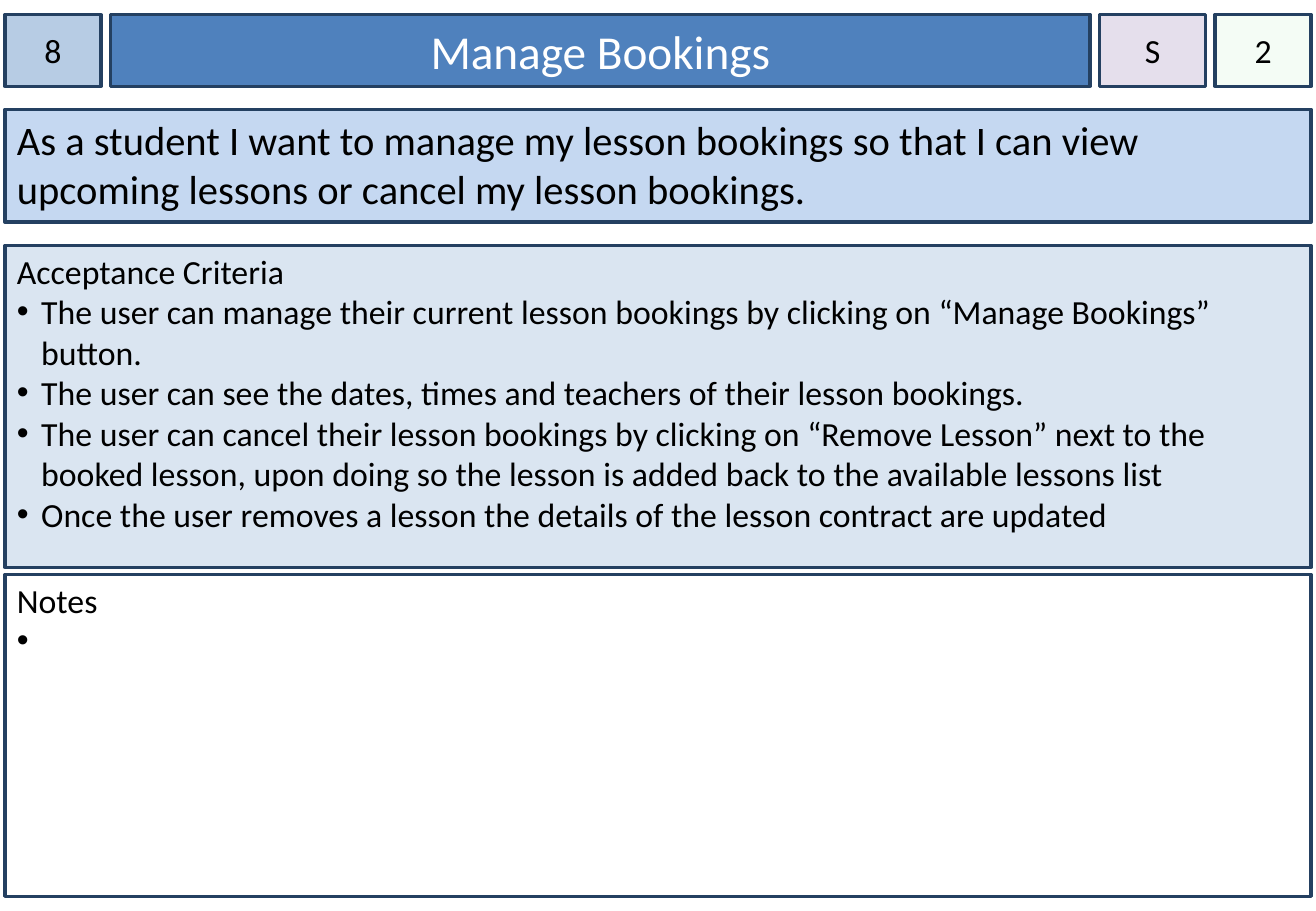
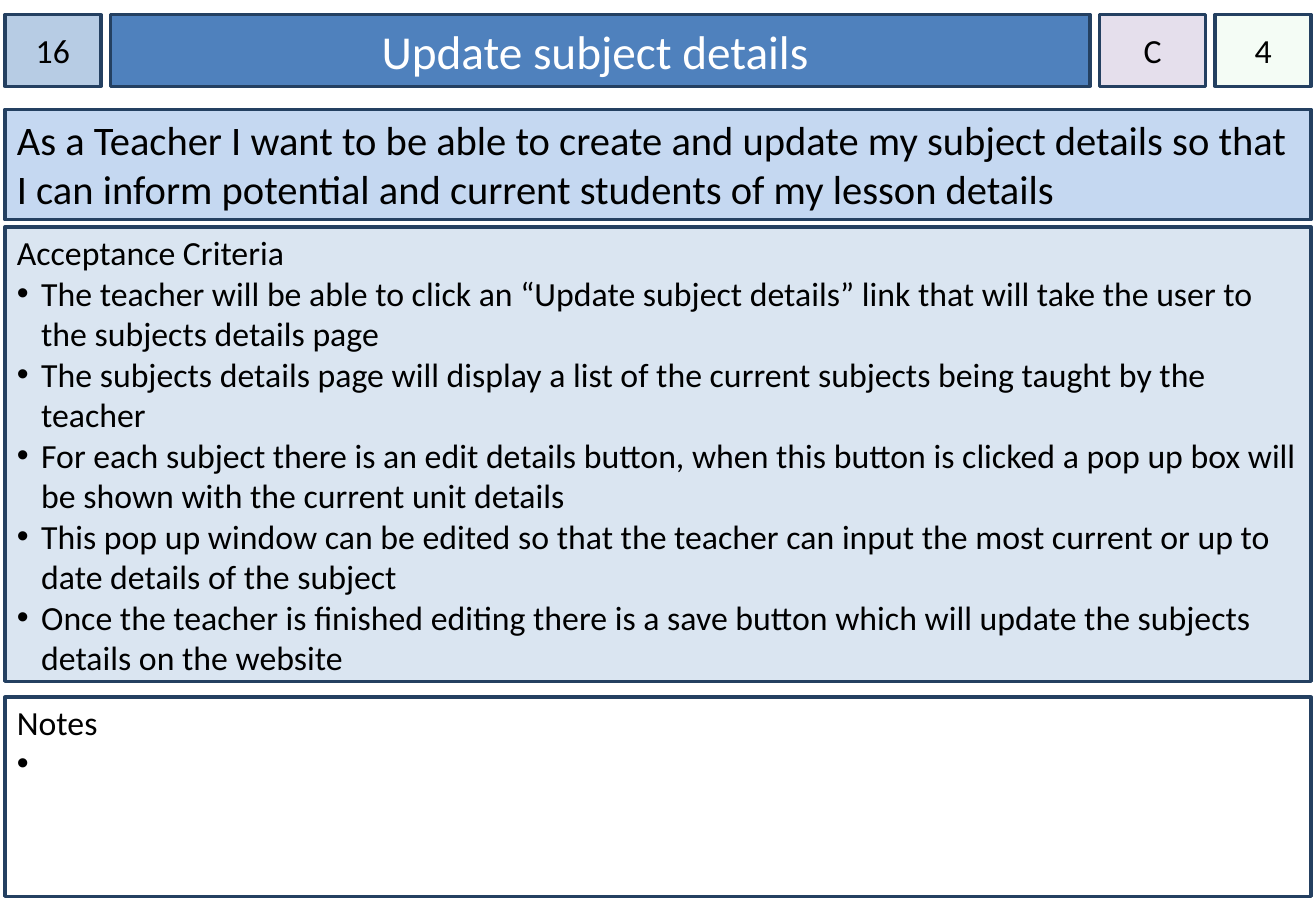
from dataclasses import dataclass

from lxml.etree import SubElement
from pptx import Presentation
from pptx.dml.color import RGBColor
from pptx.enum.shapes import MSO_SHAPE
from pptx.enum.text import MSO_ANCHOR, MSO_AUTO_SIZE, PP_ALIGN
from pptx.oxml.ns import qn
from pptx.util import Inches, Pt


@dataclass(frozen=True)
class Theme:
    font: str = "Calibri"
    title_size: int = 28
    story_size: int = 24
    body_size: int = 20
    text: str = "000000"
    title_text: str = "FFFFFF"
    border: str = "244061"
    border_width: int = 2
    number_fill: str = "B7CCE4"
    title_fill: str = "4F81BD"
    priority_fill: str = "E5DFEC"
    points_fill: str = "CCF0CD"
    points_opacity: int = 20
    story_fill: str = "C5D8F1"
    criteria_fill: str = "DAE5F1"
    remarks_fill: str = "FFFFFF"


@dataclass(frozen=True)
class StoryCard:
    number: str
    title: str
    priority: str
    points: str
    story: str
    criteria: tuple
    story_height: float
    criteria_top: float
    criteria_height: float
    remarks_top: float


THEME = Theme()
SLIDE_WIDTH, SLIDE_HEIGHT = 10.83, 7.5
MARGIN = 0.04
CONTENT_WIDTH = SLIDE_WIDTH - 2 * MARGIN
HEADER_TOP, HEADER_HEIGHT, HEADER_GAP = 0.12, 0.59, 0.08
BADGE_WIDTH, PRIORITY_WIDTH = 0.79, 0.87
TITLE_WIDTH = CONTENT_WIDTH - 2 * BADGE_WIDTH - PRIORITY_WIDTH - 3 * HEADER_GAP
STORY_TOP = 0.9
REMARKS_BOTTOM = SLIDE_HEIGHT - HEADER_TOP
BULLET_INDENT = 0.2

CARDS = (
    StoryCard(
        number="8", title="Manage Bookings", priority="S", points="2",
        story="As a student I want to manage my lesson bookings so that I can view "
              "upcoming lessons or cancel my lesson bookings.",
        criteria=(
            "The user can manage their current lesson bookings by clicking on "
            "“Manage Bookings” button.",
            "The user can see the dates, times and teachers of their lesson bookings.",
            "The user can cancel their lesson bookings by clicking on “Remove Lesson” next "
            "to the booked lesson, upon doing so the lesson is added back to the available "
            "lessons list",
            "Once the user removes a lesson the details of the lesson contract are updated",
        ),
        story_height=0.93, criteria_top=2.02, criteria_height=2.65, remarks_top=4.73,
    ),
    StoryCard(
        number="16", title="Update subject details ", priority="C", points="4",
        story="As a Teacher I want to be able to create and update my subject details so "
              "that I can inform potential and current students of my lesson details",
        criteria=(
            "The teacher will be able to click an “Update subject details” link that will "
            "take the user to the subjects details page",
            "The subjects details page will display a list of the current subjects being "
            "taught by the teacher",
            "For each subject there is an edit details button, when this button is clicked "
            "a pop up box will be shown with the current unit details",
            "This pop up window can be edited so that the teacher can input the most "
            "current or up to date details of the subject",
            "Once the teacher is finished editing there is a save button which will update "
            "the subjects details on the website",
        ),
        story_height=0.91, criteria_top=1.87, criteria_height=3.74, remarks_top=5.74,
    ),
)


def rgb(value):
    return RGBColor.from_string(value)


def write_text(paragraph, text, size=THEME.body_size, color=THEME.text,
               align=PP_ALIGN.LEFT, bullet=False):
    if bullet:
        properties = paragraph._p.get_or_add_pPr()
        properties.set("marL", str(Inches(BULLET_INDENT)))
        properties.set("indent", str(-Inches(BULLET_INDENT)))
        SubElement(properties, qn("a:buFont"), typeface="Arial")
        SubElement(properties, qn("a:buChar"), char="•")
    paragraph.alignment = align
    run = paragraph.add_run()
    run.text = text
    run.font.name = THEME.font
    run.font.size = Pt(size)
    run.font.color.rgb = rgb(color)


def format_box(shape, fill, side_inset=0.1, top_inset=0.05, anchor=MSO_ANCHOR.TOP):
    shape.fill.solid()
    shape.fill.fore_color.rgb = rgb(fill)
    shape.line.color.rgb = rgb(THEME.border)
    shape.line.width = Pt(THEME.border_width)
    frame = shape.text_frame
    frame.word_wrap = True
    frame.auto_size = MSO_AUTO_SIZE.NONE
    frame.vertical_anchor = anchor
    frame.margin_left = frame.margin_right = Inches(side_inset)
    frame.margin_top, frame.margin_bottom = Inches(top_inset), Inches(0.05)
    return frame


def add_box(slide, left, top, width, height):
    shape = slide.shapes.add_shape(
        MSO_SHAPE.RECTANGLE, Inches(left), Inches(top), Inches(width), Inches(height))
    shape.shadow.inherit = False
    return shape


def add_badge(slide, text, left, width, fill):
    shape = add_box(slide, left, HEADER_TOP, width, HEADER_HEIGHT)
    frame = format_box(shape, fill, side_inset=0, anchor=MSO_ANCHOR.MIDDLE)
    write_text(frame.paragraphs[0], text, align=PP_ALIGN.CENTER)
    return shape


def set_opacity(shape, percent):
    color = shape._element.spPr.find(qn("a:solidFill"))[0]
    SubElement(color, qn("a:alpha"), val=str(percent * 1000))


def place_title(slide, text, left):
    title = slide.shapes.title
    title.left, title.top = Inches(left), Inches(HEADER_TOP)
    title.width, title.height = Inches(TITLE_WIDTH), Inches(HEADER_HEIGHT)
    frame = format_box(title, THEME.title_fill, anchor=MSO_ANCHOR.MIDDLE)
    write_text(frame.paragraphs[0], text, size=THEME.title_size,
               color=THEME.title_text, align=PP_ALIGN.CENTER)


def add_header(slide, card):
    title_left = MARGIN + BADGE_WIDTH + HEADER_GAP
    priority_left = title_left + TITLE_WIDTH + HEADER_GAP
    points_left = priority_left + PRIORITY_WIDTH + HEADER_GAP
    add_badge(slide, card.number, MARGIN, BADGE_WIDTH, THEME.number_fill)
    place_title(slide, card.title, title_left)
    add_badge(slide, card.priority, priority_left, PRIORITY_WIDTH, THEME.priority_fill)
    points = add_badge(slide, card.points, points_left, BADGE_WIDTH, THEME.points_fill)
    set_opacity(points, THEME.points_opacity)


def add_story(slide, card):
    shape = add_box(slide, MARGIN, STORY_TOP, CONTENT_WIDTH, card.story_height)
    frame = format_box(shape, THEME.story_fill)
    write_text(frame.paragraphs[0], card.story, size=THEME.story_size)


def add_list_panel(slide, heading, items, top, height, fill):
    shape = add_box(slide, MARGIN, top, CONTENT_WIDTH, height)
    frame = format_box(shape, fill, top_inset=0.04)
    write_text(frame.paragraphs[0], heading)
    for item in items:
        write_text(frame.add_paragraph(), item, bullet=True)


def add_card(presentation, card):
    slide = presentation.slides.add_slide(presentation.slide_layouts.get_by_name("Title Only"))
    add_header(slide, card)
    add_story(slide, card)
    add_list_panel(slide, "Acceptance Criteria", card.criteria,
                   card.criteria_top, card.criteria_height, THEME.criteria_fill)
    add_list_panel(slide, "Notes", (" ",),
                   card.remarks_top, REMARKS_BOTTOM - card.remarks_top, THEME.remarks_fill)


def main():
    presentation = Presentation()
    presentation.slide_width = Inches(SLIDE_WIDTH)
    presentation.slide_height = Inches(SLIDE_HEIGHT)
    for card in CARDS:
        add_card(presentation, card)
    presentation.save("out.pptx")


if __name__ == "__main__":
    main()
